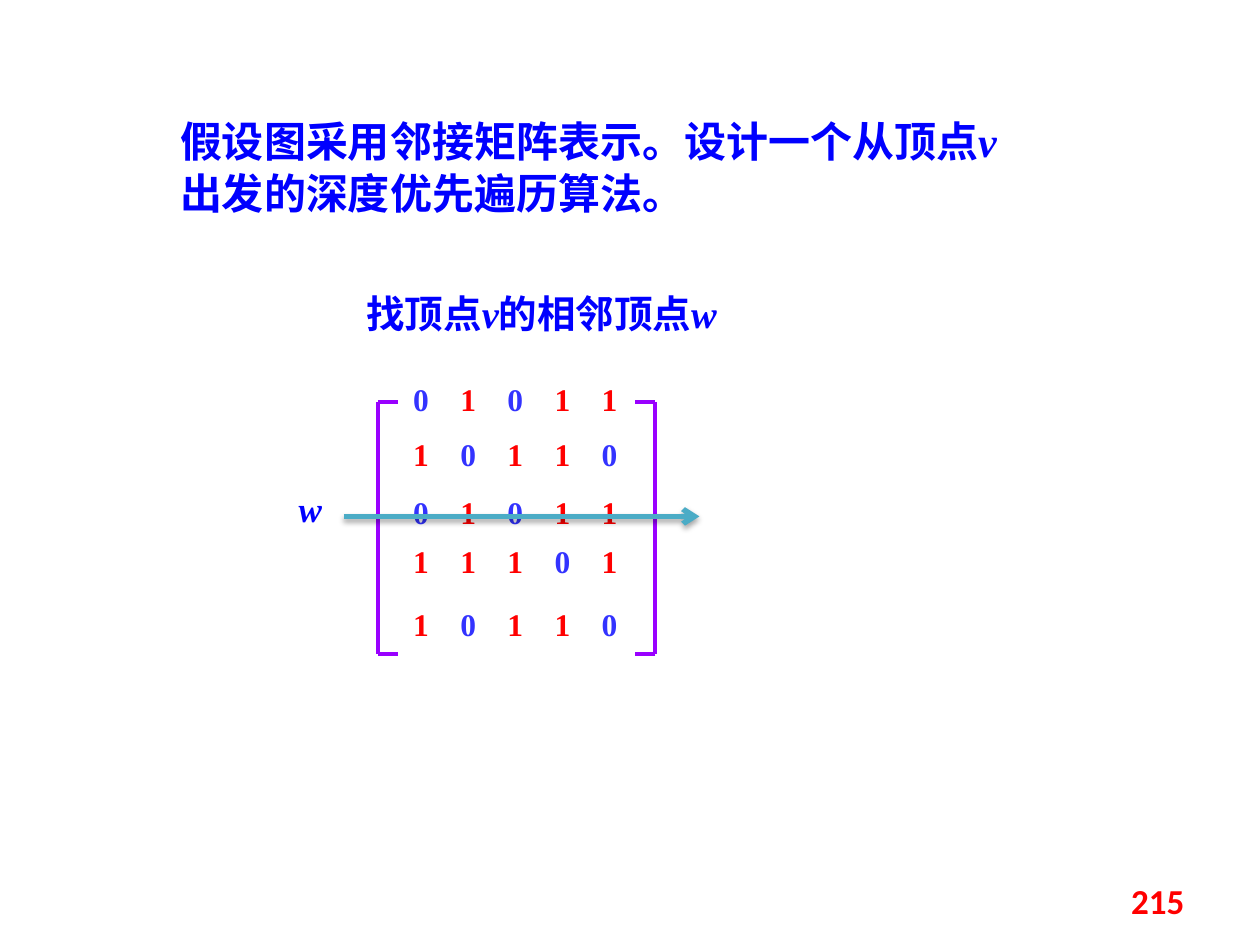
from lxml import etree
from pptx import Presentation
from pptx.dml.color import RGBColor
from pptx.enum.shapes import MSO_CONNECTOR
from pptx.enum.text import MSO_ANCHOR, MSO_AUTO_SIZE, PP_ALIGN
from pptx.oxml.ns import qn
from pptx.util import Cm, Pt

LINE = MSO_CONNECTOR.STRAIGHT
GROW = MSO_AUTO_SIZE.SHAPE_TO_FIT_TEXT
MIDDLE = MSO_ANCHOR.MIDDLE
RIGHT = PP_ALIGN.RIGHT
SERIF = "Times New Roman"
BLUE, RED, INDIGO = "0000FF", "FF0000", "3333FF"
PURPLE, TEAL = "9900FF", "4BACC6"
ROWS = ["01011", "10110", "01011", "11101", "10110"]
TOPS = [-0.43, 0.66, 1.83, 2.82, 4.09]
PITCH = 0.95


def paint(color, code):
    color.rgb = RGBColor.from_string(code)


def style(target, values):
    for name, value in values.items():
        setattr(target, name, value)


def add_node(parent, tag, **attrs):
    return etree.SubElement(parent, qn(tag), {k: str(v) for k, v in attrs.items()})


def add_run(para, text, size, code, **extra):
    run = para.add_run()
    run.text = text
    style(run.font, {"size": Pt(size), "name": SERIF, "bold": True, **extra})
    paint(run.font.color, code)


def add_box(slide, box, **frame):
    shape = slide.shapes.add_textbox(*map(Cm, box))
    style(shape.text_frame, {"word_wrap": True, "auto_size": GROW, **frame})
    return shape.text_frame.paragraphs[0]


def add_line(slide, ends, code, width):
    line = slide.shapes.add_connector(LINE, *map(Cm, ends))
    line.line.width = Pt(width)
    paint(line.line.color, code)
    effects = add_node(line._element.spPr, "a:effectLst")
    return line, effects


def add_words(slide, box, parts, size, lead):
    para = add_box(slide, box)
    para.line_spacing = Pt(lead)
    for part in parts:
        add_run(para, part, size, BLUE, italic=part in ("v", "w"))


def add_row(slide, box, digits):
    para = add_box(slide, box, margin_left=0, margin_top=0,
                   margin_right=0, margin_bottom=0)
    tabs = add_node(para._p.get_or_add_pPr(), "a:tabLst")
    for col in range(1, len(digits)):
        add_node(tabs, "a:tab", pos=Cm(PITCH * col), algn="l")
    for col, digit in enumerate(digits):
        text = "\t" + digit if col else digit
        add_run(para, text, 18, RED if digit == "1" else INDIGO)


def add_matrix(slide, box):
    left, top, width, height = box
    for digits, drop in zip(ROWS, TOPS):
        add_row(slide, (left + 0.71, top + drop, 5, 0.84), digits)
    low = top + height
    for side, tip in ((left, 0.4), (left + width, -0.4)):
        add_line(slide, (side, top, side, low), PURPLE, 2.25)
        for edge in (top, low):
            add_line(slide, (side, edge, side + tip, edge), PURPLE, 2.25)


def add_scan(slide, box):
    left, top, width, height = box
    add_words(slide, (left, top, 1.19, height), ["w"], 20, 22)
    level = top + 0.63
    ends = (left + 1.16, level, left + width, level)
    arrow, effects = add_line(slide, ends, TEAL, 3)
    add_node(arrow.line._get_or_add_ln(), "a:tailEnd", type="arrow")
    shadow = add_node(effects, "a:outerShdw", blurRad=Pt(3.1), dist=Pt(1.8),
                      dir=5400000, rotWithShape=0)
    black = add_node(shadow, "a:srgbClr", val="000000")
    add_node(black, "a:alpha", val=35000)


def add_number(slide, box):
    para = add_box(slide, box, auto_size=MSO_AUTO_SIZE.NONE, vertical_anchor=MIDDLE)
    para.alignment = RIGHT
    add_run(para, "215", 20, RED, name="Calibri")


def main():
    deck = Presentation()
    style(deck, {"slide_width": Cm(25.4), "slide_height": Cm(19.05)})
    slide = deck.slides.add_slide(deck.slide_layouts[6])
    add_words(slide, (3.38, 2.16, 17.27, 2.39),
              ["假设图采用邻接矩阵表示。设计一个从顶点", "v", "出发的深度优先遍历算法。"], 24, 30)
    add_matrix(slide, (7.62, 8.1, 5.59, 5.08))
    add_scan(slide, (5.77, 9.78, 8.33, 1.04))
    add_words(slide, (7.14, 5.59, 7.75, 1.24),
              ["找顶点", "v", "的相邻顶点", "w"], 22, 30)
    add_number(slide, (18.21, 17.65, 5.92, 1.02))
    deck.save("out.pptx")


if __name__ == "__main__":
    main()
